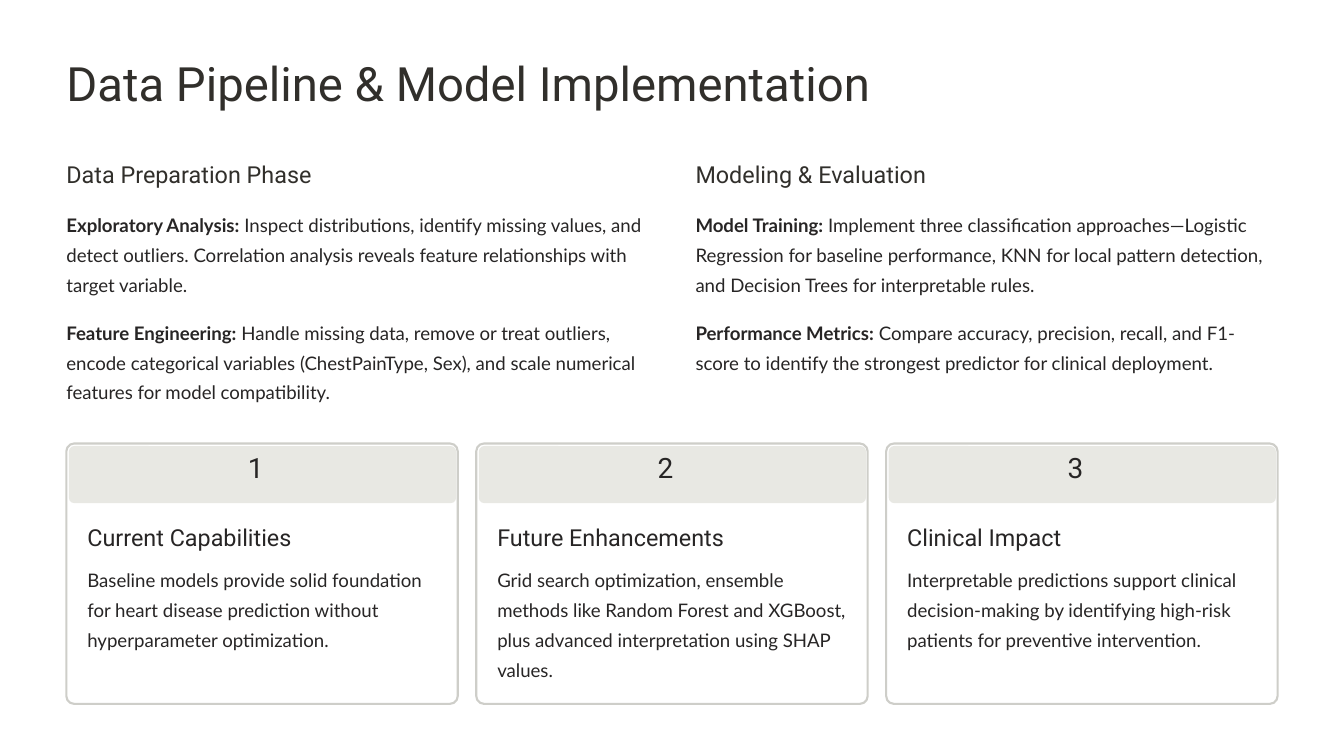
from dataclasses import dataclass

from lxml.etree import SubElement
from pptx import Presentation
from pptx.dml.color import RGBColor
from pptx.enum.shapes import MSO_SHAPE as Shape
from pptx.enum.text import MSO_ANCHOR as Anchor, MSO_AUTO_SIZE as AutoSize, PP_ALIGN as Align
from pptx.oxml.ns import qn
from pptx.util import Inches, Pt


@dataclass(frozen=True)
class TextStyle:
    font: str
    size: float
    leading: float
    color: str
    wrap: bool = False


class Theme:
    white, border, band = "FFFFFF", "CECEC9", "E8E8E3"
    title = TextStyle("Roboto", 40.5, 50.5, "312F2B")
    heading = TextStyle("Roboto", 20, 25, "312F2B")
    card_heading = TextStyle("Roboto", 20, 25, "272525")
    number = TextStyle("Roboto", 24, 24, "272525")
    body = TextStyle("Lato", 16, 25.5, "272525", wrap=True)


def write(box, place, paragraphs, style):
    """Place a text object; each paragraph is a (bold lead, plain text) pair."""
    box.left, box.top, box.width, box.height = [Inches(length) for length in place]
    frame = box.text_frame
    frame.margin_left = frame.margin_top = frame.margin_right = frame.margin_bottom = 0
    frame.auto_size = AutoSize.NONE
    frame.word_wrap = style.wrap
    frame.vertical_anchor = Anchor.TOP
    for index, (lead, text) in enumerate(paragraphs):
        para = frame.add_paragraph() if index else frame.paragraphs[0]
        para.text = lead or text
        if lead:
            para.add_run().text = text
        properties = para._p.get_or_add_pPr()
        properties.set("marL", "0")
        properties.set("indent", "0")
        SubElement(properties, qn("a:buNone"))
        para.alignment = Align.LEFT
        para.line_spacing = Pt(style.leading)
        para.space_before = Pt(15.7 if index else 0)
        for position, span in enumerate(para.runs):
            span.font.name = style.font
            span.font.size = Pt(style.size)
            span.font.bold = bool(lead) and position == 0
            span.font.color.rgb = RGBColor.from_string(style.color)


def rounded_box(place, radius, fill):
    shape = page.shapes.add_shape(Shape.ROUNDED_RECTANGLE, *[Inches(length) for length in place])
    shape.adjustments[0] = radius
    shape.shadow.inherit = False
    shape.fill.solid()
    shape.fill.fore_color.rgb = RGBColor.from_string(fill)
    shape.line.fill.background()
    return shape


deck = Presentation()
deck.slide_width, deck.slide_height = Inches(16), Inches(9)
page = deck.slides.add_slide(deck.slide_layouts.get_by_name("Comparison"))
holders = page.placeholders

# Title
margin = 0.79
write(page.shapes.title, (margin, 0.62, 9.78, 0.7),
      [("", "Data Pipeline & Model Implementation")], Theme.title)

# Two columns: heading and paragraphs
columns = [
    ("Data Preparation Phase", [
        ("Exploratory Analysis:", " Inspect distributions, identify missing values, and detect "
         "outliers. Correlation analysis reveals feature relationships with target variable."),
        ("Feature Engineering:", " Handle missing data, remove or treat outliers, encode "
         "categorical variables (ChestPainType, Sex), and scale numerical features for model "
         "compatibility."),
    ]),
    ("Modeling & Evaluation", [
        ("Model Training:", " Implement three classification approaches—Logistic Regression for "
         "baseline performance, KNN for local pattern detection, and Decision Trees for "
         "interpretable rules."),
        ("Performance Metrics:", " Compare accuracy, precision, recall, and F1-score to identify "
         "the strongest predictor for clinical deployment."),
    ]),
]
for column, (heading, paragraphs) in enumerate(columns):
    left = margin + column * 7.49
    write(holders[1 + 2 * column], (left, 1.89, 2.94, 0.35), [("", heading)], Theme.heading)
    write(holders[2 + 2 * column], (left, 2.46, 6.94, 2.36), paragraphs, Theme.body)

# Three numbered cards
cards = [
    ("Current Capabilities", "Baseline models provide solid foundation for heart disease "
     "prediction without hyperparameter optimization."),
    ("Future Enhancements", "Grid search optimization, ensemble methods like Random Forest and "
     "XGBoost, plus advanced interpretation using SHAP values."),
    ("Clinical Impact", "Interpretable predictions support clinical decision-making by "
     "identifying high-risk patients for preventive intervention."),
]
for index, (heading, text) in enumerate(cards):
    left = margin + index * 4.88
    card = rounded_box((left, 5.28, 4.66, 3.1), 0.03, Theme.white)
    card.line.color.rgb = RGBColor.from_string(Theme.border)
    card.line.width = Pt(1.8)
    rounded_box((left + 0.03, 5.31, 4.61, 0.68), 0.096, Theme.band)
    for place, words, style in [
        ((left + 2.16, 5.43, 0.34, 0.42), str(index + 1), Theme.number),
        ((left + 0.25, 6.21, 2.81, 0.35), heading, Theme.card_heading),
        ((left + 0.25, 6.69, 4.16, 1.44), text, Theme.body),
    ]:
        box = page.shapes.add_textbox(0, 0, 0, 0)
        write(box, place, [("", words)], style)

deck.save("out.pptx")
